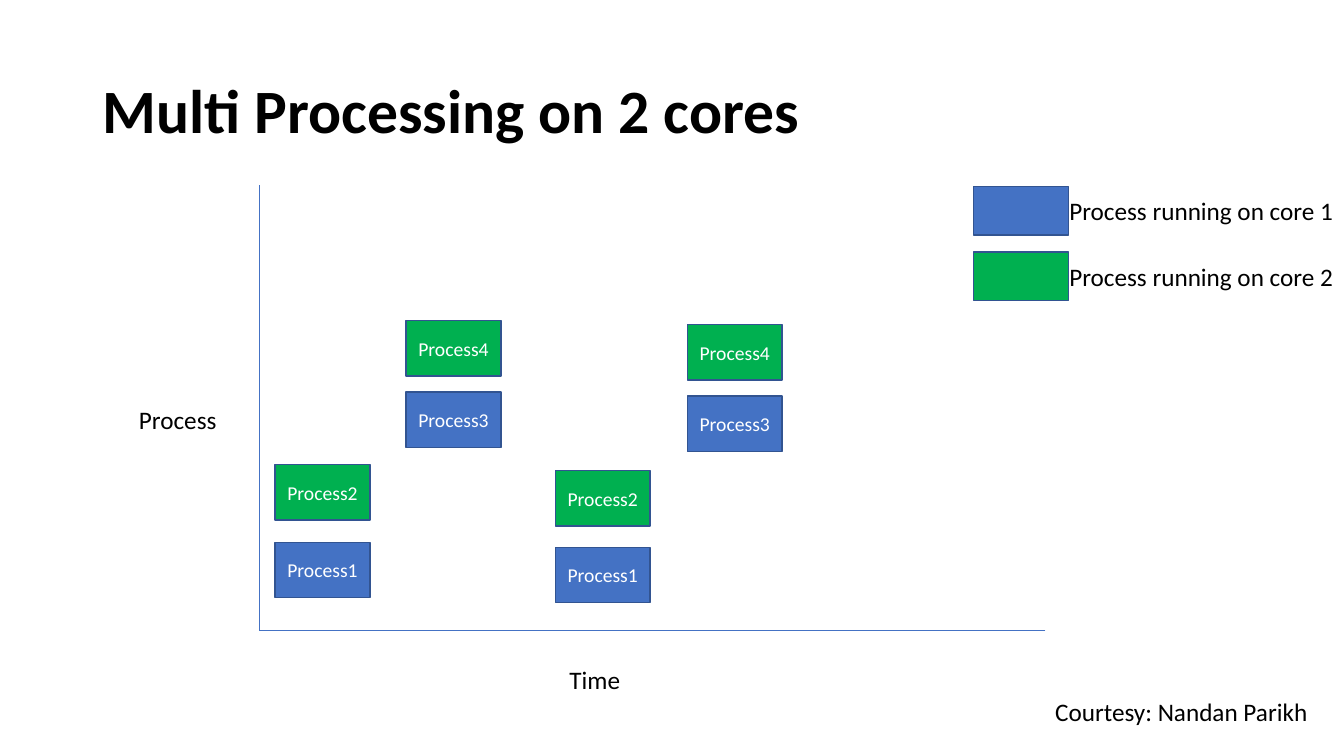
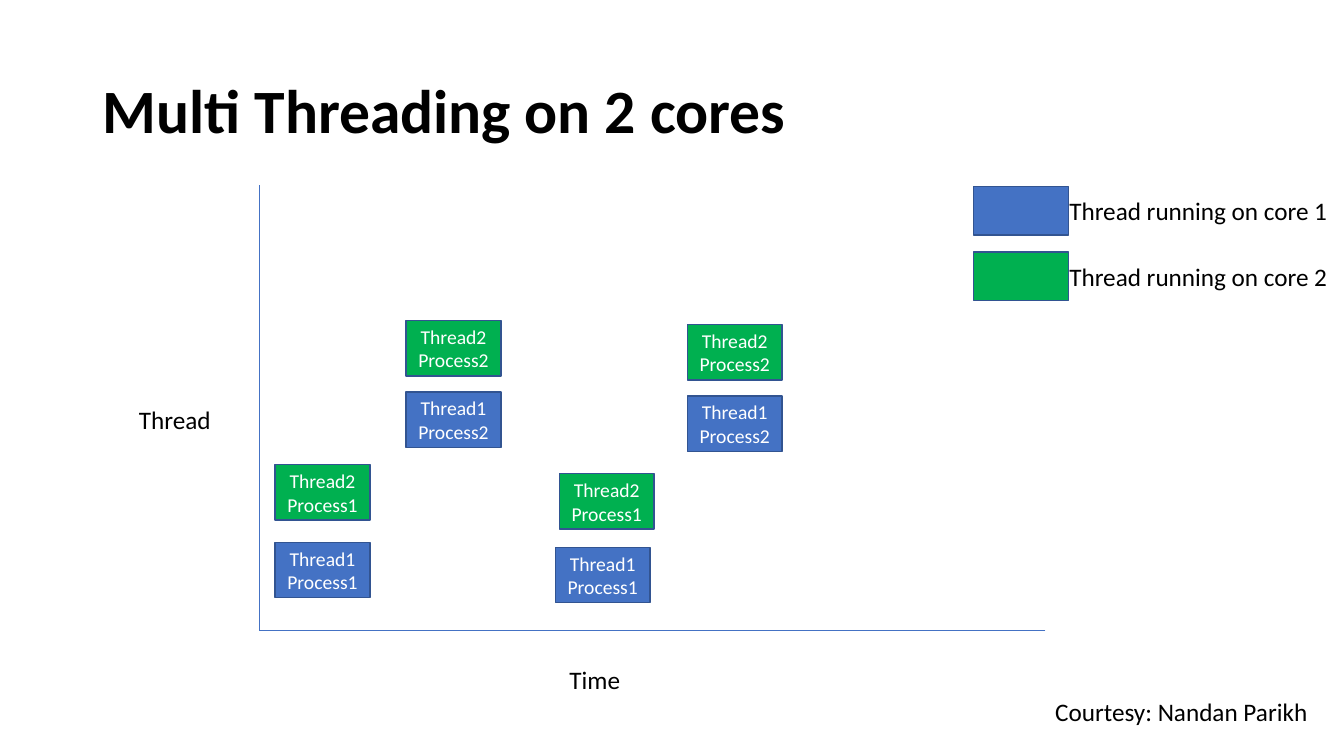
import dataclasses

import lxml.etree
import pptx
import pptx.dml.color
import pptx.enum.shapes
import pptx.enum.text
import pptx.oxml.ns
import pptx.util


@dataclasses.dataclass(frozen=True)
class Theme:
    font: str = "Calibri"
    ink: str = "000000"
    box_ink: str = "FFFFFF"
    axis: str = "4472C4"
    outline: str = "325491"
    cores: tuple = ("4472C4", "00B050")
    title_size: int = 44
    label_size: int = 18
    box_size: int = 14
    axis_width: float = 0.5
    outline_width: float = 1


BOX_WIDTH, BOX_HEIGHT, KEY_HEIGHT = 2.82, 2.2, 1.92
LABEL_HEIGHT = 1.6
AXIS_LEFT, AXIS_RIGHT, AXIS_TOP, AXIS_BOTTOM = 7.71, 31.11, 7.36, 25
KEY_LEFT, KEY_TOP, KEY_STEP = 28.98, 7.4, 2.6
KEY_TEXT_LEFT, KEY_TEXT_DROP = 31.53, 0.16

FIRST_SLOTS = [(8.19, 21.52), (8.19, 18.44), (12.09, 15.56), (12.09, 12.72)]
LATE_SLOTS = [(20.46, 15.72), (20.46, 12.88)]
PROCESS_SLOTS = FIRST_SLOTS + [(16.53, 21.72), (16.53, 18.68)] + LATE_SLOTS
THREAD_SLOTS = FIRST_SLOTS + [(16.53, 21.72), (16.65, 18.8)] + LATE_SLOTS


def color(value):
    return pptx.dml.color.RGBColor.from_string(value)


class Sketch:
    columns, rows = 40, 30

    def __init__(self, theme):
        self.theme = theme
        self.deck = pptx.Presentation()
        self.deck.slide_width = pptx.util.Inches(13.333)
        self.deck.slide_height = pptx.util.Inches(7.5)
        self.page = None

    def new_page(self):
        self.page = self.deck.slides.add_slide(self.deck.slide_layouts[6])

    def place(self, *lengths):
        column = self.deck.slide_width / self.columns
        row = self.deck.slide_height / self.rows
        return [round(length * unit) for length, unit in zip(lengths, (column, row) * 2)]

    def set_text(self, frame, text, size, ink, bold=False):
        para = frame.paragraphs[0]
        para.text = text
        para.font.name = self.theme.font
        para.font.size = pptx.util.Pt(size)
        para.font.bold = bold
        para.font.color.rgb = color(ink)
        return para

    def title(self, text):
        frame = self.page.shapes.add_textbox(*self.place(2.76, 1.6, 34.5, 5.8)).text_frame
        frame.word_wrap = True
        frame.vertical_anchor = pptx.enum.text.MSO_ANCHOR.MIDDLE
        para = self.set_text(frame, text, self.theme.title_size, self.theme.ink, True)
        para.line_spacing = 0.9

    def label(self, text, left, top, width):
        box = self.page.shapes.add_textbox(*self.place(left, top, width, LABEL_HEIGHT))
        frame = box.text_frame
        frame.word_wrap = False
        frame.auto_size = pptx.enum.text.MSO_AUTO_SIZE.SHAPE_TO_FIT_TEXT
        self.set_text(frame, text, self.theme.label_size, self.theme.ink)

    def box(self, core, left, top, height, text=""):
        box = self.page.shapes.add_shape(
            pptx.enum.shapes.MSO_SHAPE.RECTANGLE, *self.place(left, top, BOX_WIDTH, height))
        box.shadow.inherit = False
        box.fill.solid()
        box.fill.fore_color.rgb = color(self.theme.cores[core])
        box.line.color.rgb = color(self.theme.outline)
        box.line.width = pptx.util.Pt(self.theme.outline_width)
        if text:
            box.text_frame.vertical_anchor = pptx.enum.text.MSO_ANCHOR.MIDDLE
            para = self.set_text(box.text_frame, text, self.theme.box_size, self.theme.box_ink)
            para.alignment = pptx.enum.text.PP_ALIGN.CENTER

    def line(self, *ends):
        line = self.page.shapes.add_connector(
            pptx.enum.shapes.MSO_CONNECTOR.STRAIGHT, *self.place(*ends))
        line.line.color.rgb = color(self.theme.axis)
        line.line.width = pptx.util.Pt(self.theme.axis_width)
        lxml.etree.SubElement(line._element.spPr, pptx.oxml.ns.qn("a:effectLst"))

    def axes(self, unit, unit_width):
        self.line(AXIS_LEFT, AXIS_TOP, AXIS_LEFT, AXIS_BOTTOM)
        self.line(AXIS_RIGHT, AXIS_BOTTOM, AXIS_LEFT, AXIS_BOTTOM)
        self.label("Time", 16.65, 26.16, 2.13)
        self.label(unit, 3.84, 15.84, unit_width)

    def legend(self, unit, width):
        for core in range(len(self.theme.cores)):
            top = KEY_TOP + core * KEY_STEP
            self.box(core, KEY_LEFT, top, KEY_HEIGHT)
            self.label(f"{unit} running on core {core + 1}",
                       KEY_TEXT_LEFT, top + KEY_TEXT_DROP, width)

    def schedule(self, unit, unit_width, legend_width, names, slots):
        self.new_page()
        self.title(f"Multi {unit}ing on 2 cores")
        self.axes(unit, unit_width)
        for index, (left, top) in enumerate(slots):
            core = index % len(self.theme.cores)
            self.box(core, left, top, BOX_HEIGHT, names[index % len(names)])
        self.legend(unit, legend_width)
        self.label("Courtesy: Nandan Parikh", 31.11, 27.44, 8.19)


def main():
    sketch = Sketch(Theme())
    processes = [f"Process{number}" for number in range(1, 5)]
    threads = [f"Thread{thread} Process{process}" for process in (1, 2) for thread in (1, 2)]
    sketch.schedule("Process", 2.94, 8.55, processes, PROCESS_SLOTS)
    sketch.schedule("Thread", 2.76, 8.37, threads, THREAD_SLOTS)
    sketch.deck.save("out.pptx")


if __name__ == "__main__":
    main()
